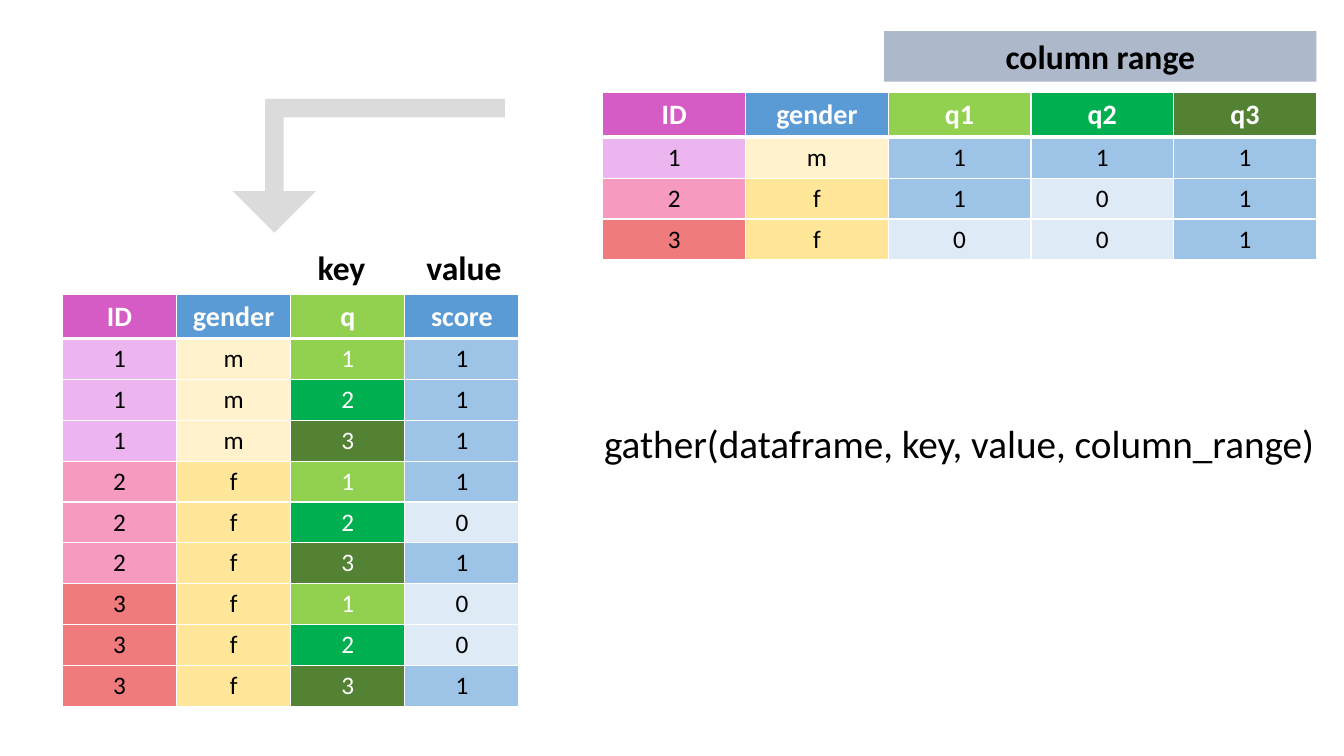
from dataclasses import dataclass

from lxml import etree
from pptx import Presentation
from pptx.dml.color import RGBColor
from pptx.enum.shapes import MSO_SHAPE
from pptx.enum.text import MSO_ANCHOR, PP_ALIGN
from pptx.oxml.ns import qn
from pptx.util import Pt

CENTER = PP_ALIGN.CENTER
MIDDLE = MSO_ANCHOR.MIDDLE
TOP = MSO_ANCHOR.TOP
RECTANGLE = MSO_SHAPE.RECTANGLE


@dataclass(frozen=True)
class Theme:
    """Colours and type sizes of the slide."""
    font: str = "Calibri"
    white: str = "FFFFFF"
    black: str = "000000"
    arrow: str = "DBDBDB"
    range_bar: str = "ADB9CA"
    id_header: str = "D55CC4"
    blue_header: str = "5B9BD5"
    ids: tuple = ("EDB5EF", "F79ABF", "EF7B7C")
    questions: tuple = ("92D050", "00B050", "548235")
    scores: tuple = ("DEEBF7", "9DC3E6")
    male: str = "FFF2CC"
    female: str = "FFE699"
    body_size: int = 18
    header_size: int = 20
    label_size: int = 24
    code_size: int = 28


@dataclass(frozen=True)
class Box:
    """A rectangle in points."""
    left: float
    top: float
    width: float
    height: float

    def lengths(self):
        """Return the four lengths for python-pptx."""
        return Pt(self.left), Pt(self.top), Pt(self.width), Pt(self.height)


THEME = Theme()
HEADER_HEIGHT, ROW_HEIGHT = 31.6, 29.2
PEOPLE = [(1, "m", (1, 1, 1)), (2, "f", (1, 0, 1)), (3, "f", (0, 0, 1))]


def write(frame, text, size, color=THEME.black, bold=False):
    """Put one centred run into a text frame."""
    paragraph = frame.paragraphs[0]
    paragraph.alignment = CENTER
    run = paragraph.add_run()
    run.text = str(text)
    run.font.name = THEME.font
    run.font.size = Pt(size)
    run.font.bold = bold
    run.font.color.rgb = RGBColor.from_string(color)


def paint(shape, color):
    """Give a shape a plain fill without line or shadow."""
    shape.shadow.inherit = False
    shape.fill.solid()
    shape.fill.fore_color.rgb = RGBColor.from_string(color)
    shape.line.fill.background()


def add_label(slide, box, text, size, bold=False):
    """Add a centred text box without side insets."""
    frame = slide.shapes.add_textbox(*box.lengths()).text_frame
    frame.word_wrap = True
    frame.margin_left = frame.margin_right = 0
    frame.vertical_anchor = TOP
    write(frame, text, size, bold=bold)


def set_borders(cell, top, bottom):
    """Draw white cell borders; top and bottom are widths in points."""
    properties = cell._tc.get_or_add_tcPr()
    for side, width in (("L", 1), ("R", 1), ("T", top), ("B", bottom)):
        line = etree.SubElement(properties, qn(f"a:ln{side}"), w=str(Pt(width)))
        fill = etree.SubElement(line, qn("a:solidFill"))
        etree.SubElement(fill, qn("a:srgbClr"), val=THEME.white)


def add_data_table(slide, box, rows):
    """Fill a box with a table; each cell is (text, fill, text colour)."""
    columns = len(rows[0])
    table = slide.shapes.add_table(len(rows), columns, *box.lengths()).table
    table.horz_banding = False
    for column in table.columns:
        column.width = Pt(box.width / columns)
    for row_index, row in enumerate(rows):
        header = row_index == 0
        table.rows[row_index].height = Pt(HEADER_HEIGHT if header else ROW_HEIGHT)
        for column_index, (text, fill, color) in enumerate(row):
            cell = table.cell(row_index, column_index)
            set_borders(cell, 3 if row_index == 1 else 1, 3 if header else 1)
            cell.fill.solid()
            cell.fill.fore_color.rgb = RGBColor.from_string(fill)
            size = THEME.header_size if header else THEME.body_size
            write(cell.text_frame, text, size, color, header)


def person_cells(identifier, gender):
    """Return the ID and gender cells that both tables share."""
    gender_fill = THEME.male if gender == "m" else THEME.female
    return [(identifier, THEME.ids[identifier - 1], THEME.black),
            (gender, gender_fill, THEME.black)]


def score_cell(score):
    """Return a cell shaded by its score."""
    return score, THEME.scores[score], THEME.black


def header_cells(*names_and_fills):
    """Return header cells, starting with ID and gender."""
    shared = (("ID", THEME.id_header), ("gender", THEME.blue_header))
    return [(name, fill, THEME.white) for name, fill in shared + names_and_fills]


def add_wide_region(slide, box):
    """Add the column range bar and the wide table below it."""
    bar_left = box.left + 201
    bar = slide.shapes.add_shape(
        RECTANGLE, *Box(bar_left, box.top, box.left + box.width - bar_left, 36).lengths())
    paint(bar, THEME.range_bar)
    bar.text_frame.vertical_anchor = MIDDLE
    write(bar.text_frame, "column range", THEME.label_size, bold=True)

    questions = [(f"q{number}", fill) for number, fill in enumerate(THEME.questions, 1)]
    rows = [header_cells(*questions)]
    for identifier, gender, scores in PEOPLE:
        rows.append(person_cells(identifier, gender) + [score_cell(s) for s in scores])
    table_top = box.top + 44
    add_data_table(slide, Box(box.left, table_top, box.width,
                              box.top + box.height - table_top), rows)


def add_long_region(slide, box):
    """Add the key and value labels and the long table below them."""
    label_width = 87.5
    for index, text in enumerate(("key", "value")):
        label = Box(box.left + 155.6 + index * label_width, box.top, label_width, 36)
        add_label(slide, label, text, THEME.label_size, bold=True)

    rows = [header_cells(("q", THEME.questions[0]), ("score", THEME.blue_header))]
    for identifier, gender, scores in PEOPLE:
        for number, (fill, score) in enumerate(zip(THEME.questions, scores), 1):
            rows.append(person_cells(identifier, gender)
                        + [(number, fill, THEME.white), score_cell(score)])
    table_top = box.top + 37.4
    add_data_table(slide, Box(box.left, table_top, box.width,
                              box.top + box.height - table_top), rows)


def add_bent_arrow(slide, box):
    """Add an arrow that runs left along the top and then down."""
    head, shaft = 29.7, 13.2
    right, bottom = box.left + box.width, box.top + box.height
    tip = box.left + head
    inner, outer = tip + shaft / 2, tip - shaft / 2
    neck = bottom - head
    points = [(right, box.top), (right, box.top + shaft), (inner, box.top + shaft),
              (inner, neck), (tip + head, neck), (tip, bottom),
              (box.left, neck), (outer, neck), (outer, box.top)]
    start, *rest = [(Pt(x), Pt(y)) for x, y in points]
    builder = slide.shapes.build_freeform(*start)
    builder.add_line_segments(rest, close=True)
    paint(builder.convert_to_shape(), THEME.arrow)


def main():
    """Build and save the slide."""
    presentation = Presentation()
    presentation.slide_width, presentation.slide_height = Pt(960), Pt(540)
    slide = presentation.slides.add_slide(presentation.slide_layouts[6])
    add_wide_region(slide, Box(430.6, 22.3, 509.8, 163.2))
    add_long_region(slide, Box(44.6, 172.8, 326.2, 331.8))
    add_bent_arrow(slide, Box(166.3, 70.6, 194.4, 95.7))
    add_label(slide, Box(420, 295.9, 530, 42),
              "gather(dataframe, key, value, column_range)", THEME.code_size)
    presentation.save("out.pptx")


main()
